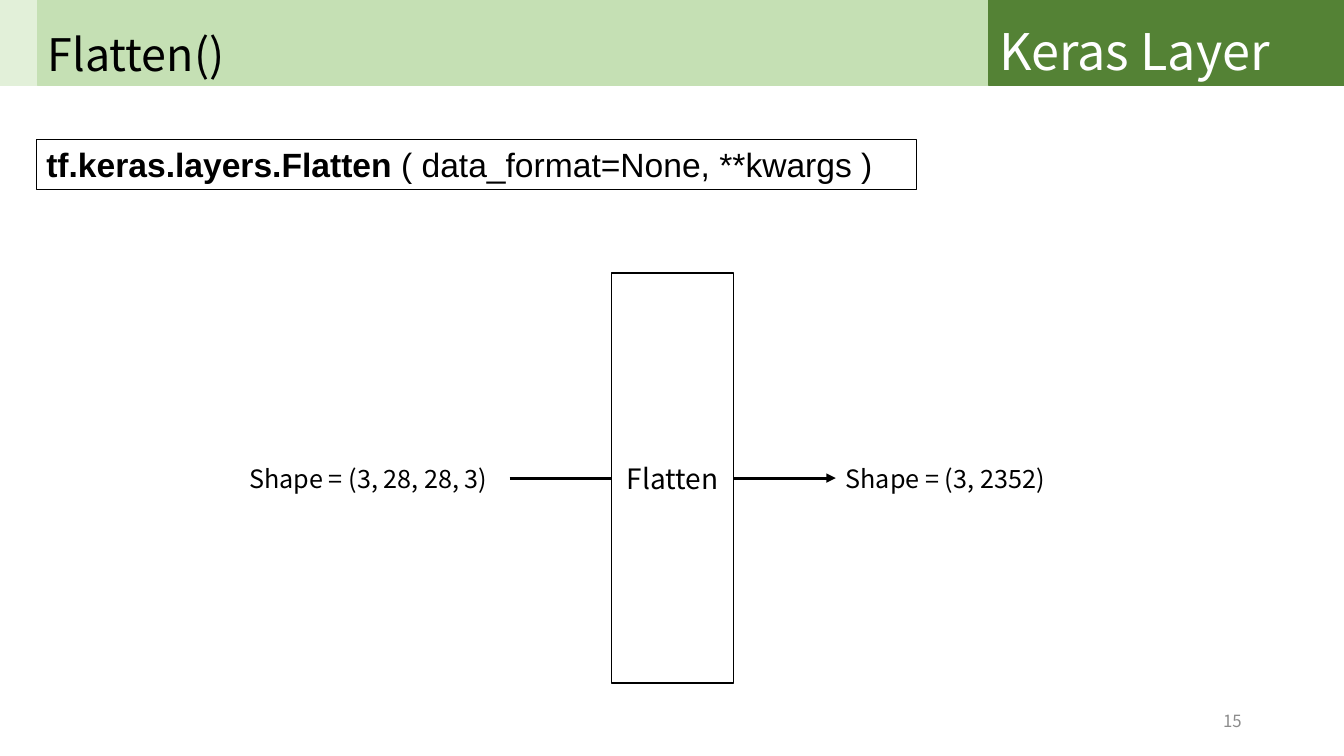
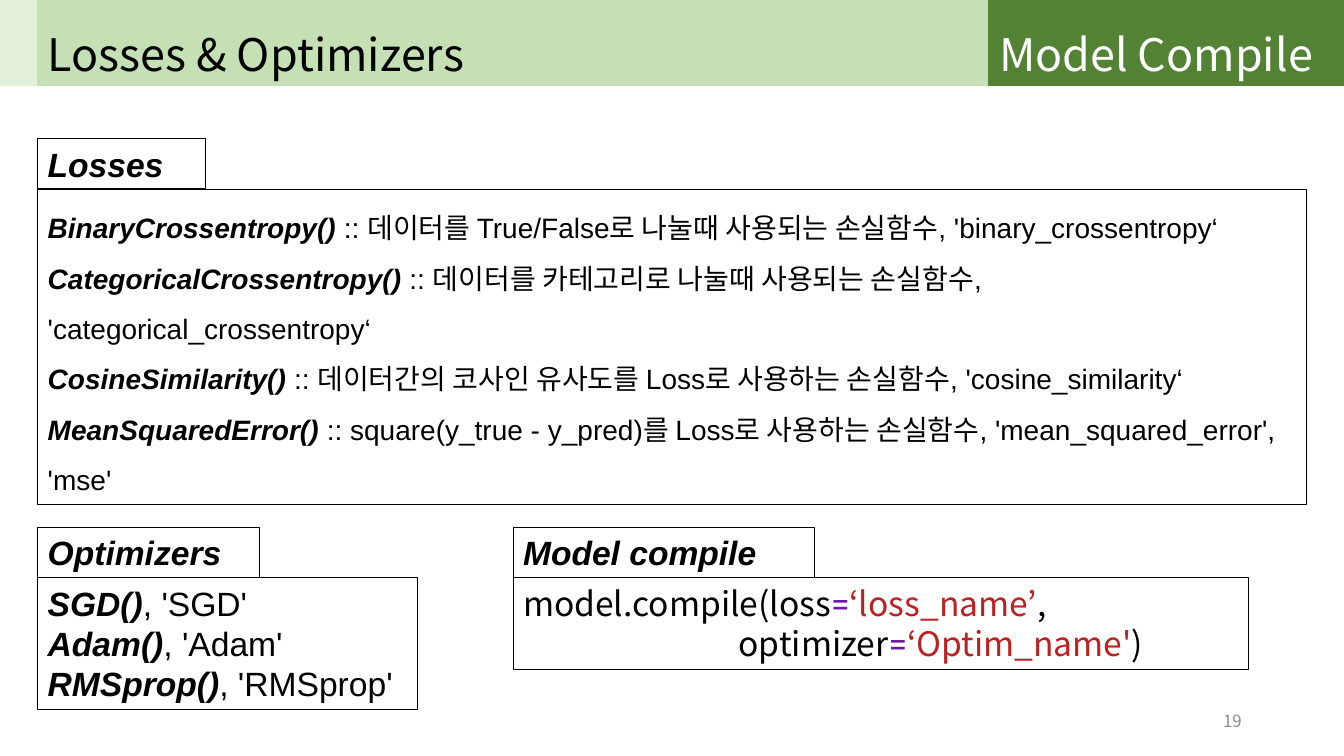
import pptx
import pptx.dml.color
import pptx.enum.shapes
import pptx.enum.text
import pptx.oxml.ns
import pptx.util
from lxml import etree

Pt = pptx.util.Pt
ALIGN = pptx.enum.text.PP_ALIGN
ANCHOR = pptx.enum.text.MSO_ANCHOR

PAGE_WIDTH, PAGE_HEIGHT = 960, 540
HEADER_HEIGHT = 61
MARGIN = 27
TOPIC_LEFT = 706.5
TAB_HEIGHT = 36
LINE_RATIO = 1.2

SANS, CODE, SYMBOL = "Noto Sans CJK KR", "Arial", "Roboto"
BLACK, WHITE, GRAY = "000000", "FFFFFF", "8C8C8C"
PALE_GREEN, LIGHT_GREEN, DARK_GREEN = "E2F0D9", "C5E0B4", "548235"
PURPLE, RED = "7216AC", "BB2121"

STRONG = dict(font=CODE, bold=True, italic=True)
PLAIN = dict(font=CODE)
KOREAN = dict(font=SANS)
OPERATOR = dict(font=SYMBOL, color=PURPLE)
STRING = dict(color=RED)


def rgb(color):
    return pptx.dml.color.RGBColor.from_string(color)


def add_span(para, text, size=18, font=SANS, color=BLACK, bold=False, italic=False):
    span = para.add_run()
    span.text = text
    span.font.size = Pt(size)
    span.font.name = font
    span.font.bold = bold
    span.font.italic = italic
    span.font.color.rgb = rgb(color)
    east_asian = etree.SubElement(span.font._element, pptx.oxml.ns.qn("a:ea"))
    east_asian.set("typeface", font)


def write_lines(shape, lines, size=18, align=ALIGN.LEFT, anchor=ANCHOR.TOP,
                spacing=1, hanging=0):
    """Fill a shape with lines of (text, format) spans; hanging indents all but the first."""
    frame = shape.text_frame
    frame.word_wrap = True
    frame.vertical_anchor = anchor
    for index, spans in enumerate(lines):
        para = frame.add_paragraph() if index else frame.paragraphs[0]
        para.alignment = align
        para.line_spacing = Pt(size * LINE_RATIO * spacing)
        if index and hanging:
            para._p.get_or_add_pPr().set("marL", str(Pt(hanging)))
        for text, style in spans:
            add_span(para, text, size=size, **style)


def add_box(page, left, top, width, height, fill=None, line=BLACK, line_width=0.75):
    box = page.shapes.add_shape(pptx.enum.shapes.MSO_SHAPE.RECTANGLE,
                                Pt(left), Pt(top), Pt(width), Pt(height))
    box.shadow.inherit = False
    if fill:
        box.fill.solid()
        box.fill.fore_color.rgb = rgb(fill)
    else:
        box.fill.background()
    box.line.color.rgb = rgb(line)
    box.line.width = Pt(line_width)
    return box


def add_label(page, left, top, width, height, text, color=BLACK, **layout):
    label = page.shapes.add_textbox(Pt(left), Pt(top), Pt(width), Pt(height))
    write_lines(label, [[(text, dict(color=color))]], **layout)
    return label


def add_arrow(page, source, target):
    """Draw an arrow from the right side of source to the left side of target."""
    arrow = page.shapes.add_connector(pptx.enum.shapes.MSO_CONNECTOR.STRAIGHT, 0, 0, 0, 0)
    arrow.begin_connect(source, 3)
    arrow.end_connect(target, 1)
    arrow.line.color.rgb = rgb(BLACK)
    arrow.line.width = Pt(2.25)
    tail = etree.SubElement(arrow.line._get_or_add_ln(), pptx.oxml.ns.qn("a:tailEnd"))
    tail.set("type", "triangle")
    etree.SubElement(arrow._element.spPr, pptx.oxml.ns.qn("a:effectLst"))


def add_page(deck, title, topic, topic_size, number):
    """Add a blank slide with the header bands and the page number."""
    page = deck.slides.add_slide(deck.slide_layouts[6])
    bands = [
        (0, MARGIN, PALE_GREEN, "", BLACK, 32),
        (MARGIN, TOPIC_LEFT, LIGHT_GREEN, title, BLACK, 32),
        (TOPIC_LEFT, PAGE_WIDTH, DARK_GREEN, topic, WHITE, topic_size),
    ]
    for left, right, fill, text, color, size in bands:
        band = add_box(page, left, 0, right - left, HEADER_HEIGHT, fill, fill, 1)
        if text:
            write_lines(band, [[(text, dict(color=color))]], size=size,
                        anchor=ANCHOR.BOTTOM)
    add_label(page, 678, 500.5, 216, 28.8, str(number), color=GRAY, size=12,
              align=ALIGN.RIGHT, anchor=ANCHOR.MIDDLE)
    return page


def add_layer_diagram(page, left, top, width, height, name, source, target):
    """Show a layer as a tall box with its input and output shapes on either side."""
    input_width, output_width, label_height = 193, 162, 28.8
    layer_left, layer_width = left + 266, 87
    label_top = top + (height - label_height) / 2
    before = add_label(page, left, label_top, input_width, label_height, source)
    after = add_label(page, left + width - output_width, label_top,
                      output_width, label_height, target)
    add_arrow(page, before, after)
    layer = add_box(page, layer_left, top, layer_width, height, WHITE, line_width=1)
    write_lines(layer, [[(name, {})]], size=20, align=ALIGN.CENTER, anchor=ANCHOR.MIDDLE)


def add_tabbed_panel(page, left, top, width, height, title, tab_width, lines, **layout):
    """Place a panel of text with its title in a tab on top."""
    body = add_box(page, left, top + TAB_HEIGHT, width, height - TAB_HEIGHT)
    write_lines(body, lines, **layout)
    tab = add_box(page, left, top, tab_width, TAB_HEIGHT)
    write_lines(tab, [[(title, STRONG)]], size=24)


def build_flatten(deck):
    page = add_page(deck, "Flatten()", "Keras Layer", 36, 15)
    signature = add_box(page, 26, 99.5, 629, 36)
    write_lines(signature, [[
        ("tf.keras.layers.Flatten ", dict(font=CODE, bold=True)),
        ("( data_format=None, **kwargs )", PLAIN),
    ]], size=24)
    add_layer_diagram(page, 171, 195, 588, 293, "Flatten",
                      "Shape = (3, 28, 28, 3)", "Shape = (3, 2352)")


def build_compile(deck):
    page = add_page(deck, "Losses & Optimizers", "Model Compile", 32, 19)
    losses = [
        [("BinaryCrossentropy() ", STRONG), (":: ", PLAIN), ("데이터를 ", KOREAN),
         ("True/False", PLAIN), ("로 나눌때 사용되는 손실함수", KOREAN),
         (", 'binary_crossentropy‘", PLAIN)],
        [("CategoricalCrossentropy() ", STRONG), (":: ", PLAIN),
         ("데이터를 카테고리로 나눌때 사용되는 손실함수", KOREAN),
         (", 'categorical_crossentropy‘", PLAIN)],
        [("CosineSimilarity() ", STRONG), (":: ", PLAIN),
         ("데이터간의 코사인 유사도를 ", KOREAN), ("Loss", PLAIN),
         ("로 사용하는 손실함수", KOREAN), (", 'cosine_similarity‘", PLAIN)],
        [("MeanSquaredError() ", STRONG), (":: square(y_true - y_pred)", PLAIN),
         ("를 ", KOREAN), ("Loss", PLAIN), ("로 사용하는 손실함수", KOREAN),
         (", 'mean_squared_error', 'mse'", PLAIN)],
    ]
    optimizers = [[(f"{name}()", STRONG), (f", '{name}'", PLAIN)]
                  for name in ("SGD", "Adam", "RMSprop")]
    call = [
        [("model.compile(loss", {}), ("=", OPERATOR), ("‘loss_name’", STRING), (",", {})],
        [("optimizer", {}), ("=", OPERATOR), ("‘Optim_name'", STRING), (")", {})],
    ]
    add_tabbed_panel(page, MARGIN, 99, 906, 261.5, "Losses", 119.5, losses,
                     size=20, spacing=1.5)
    add_tabbed_panel(page, MARGIN, 376.5, 271, 130.5, "Optimizers", 158.5, optimizers,
                     size=24)
    add_tabbed_panel(page, 366.5, 376.5, 525, 101.5, "Model compile", 215, call,
                     size=24, hanging=154)


def main():
    deck = pptx.Presentation()
    deck.slide_width, deck.slide_height = Pt(PAGE_WIDTH), Pt(PAGE_HEIGHT)
    build_flatten(deck)
    build_compile(deck)
    deck.save("out.pptx")


if __name__ == "__main__":
    main()
